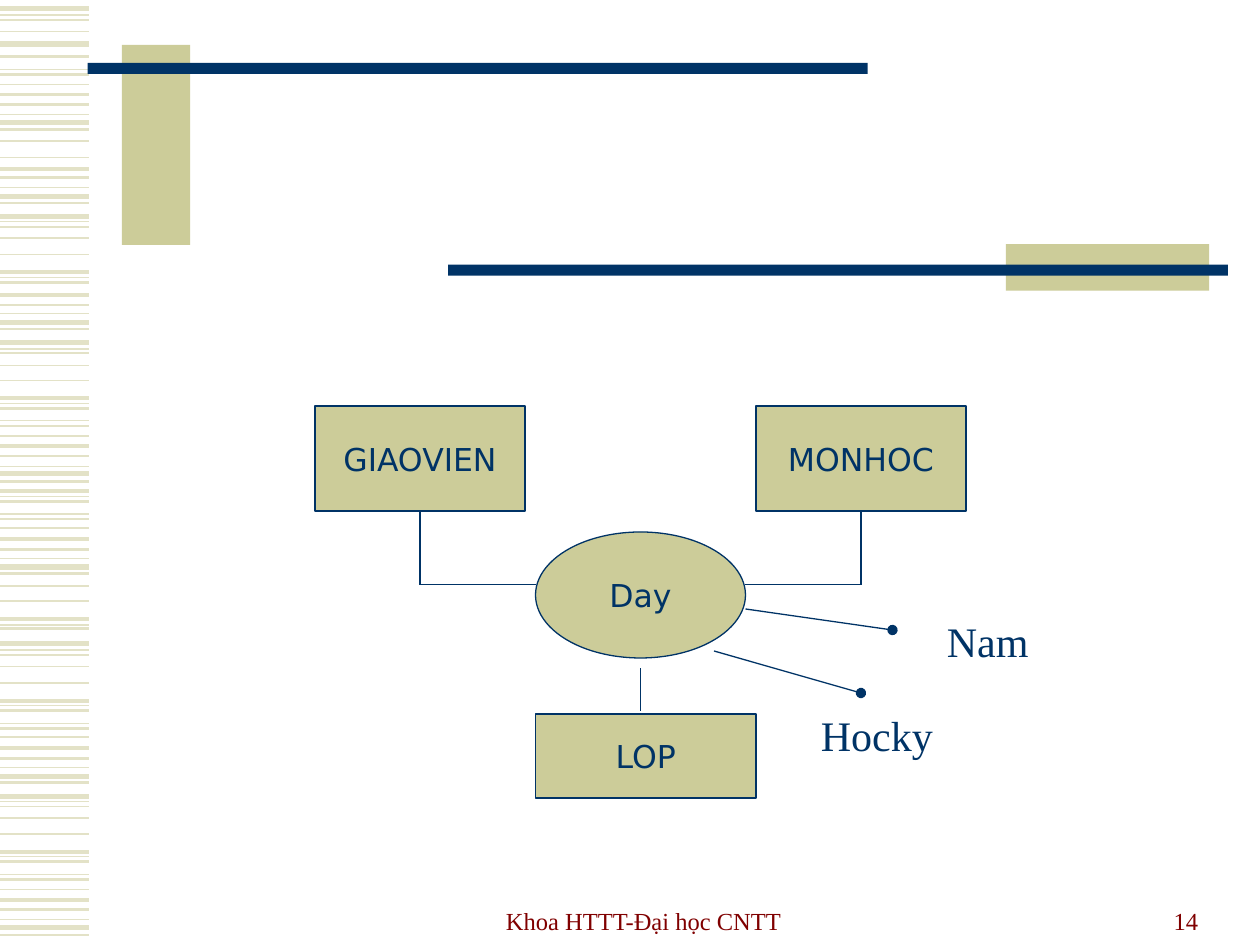
from dataclasses import dataclass

from lxml import etree
from pptx import Presentation
from pptx.dml.color import RGBColor
from pptx.enum.shapes import MSO_CONNECTOR, MSO_SHAPE
from pptx.enum.text import MSO_ANCHOR, MSO_AUTO_SIZE, PP_ALIGN
from pptx.oxml.ns import qn
from pptx.util import Inches, Pt

STRAIGHT = MSO_CONNECTOR.STRAIGHT
RECT, OVAL = MSO_SHAPE.RECTANGLE, MSO_SHAPE.OVAL
TOP, MIDDLE, BOTTOM = MSO_ANCHOR.TOP, MSO_ANCHOR.MIDDLE, MSO_ANCHOR.BOTTOM
LEFT, CENTER, RIGHT = PP_ALIGN.LEFT, PP_ALIGN.CENTER, PP_ALIGN.RIGHT
GROW = MSO_AUTO_SIZE.SHAPE_TO_FIT_TEXT
BOTTOM_SIDE = 2


@dataclass(frozen=True)
class Theme:
    navy: str = "003366"
    khaki: str = "CCCC99"
    stripe: str = "E3E2C7"
    maroon: str = "800000"
    serif: str = "Times New Roman"
    sans: str = "DejaVu Sans"
    label_size: int = 24
    node_size: int = 18
    footer_size: int = 14
    line: float = 0.75


THEME = Theme()

# Grid of 120 columns by 90 rows; all places below are in cells
COLUMNS, ROWS = 120, 90
WIDTH, HEIGHT = Inches(10), Inches(7.5)

# Left border: line weight -> heights down the slide, in inches
STRIPE_LENGTH = 0.71
STRIPES = {
    0.75: (0.12, 0.55, 0.91, 1.49, 1.76, 2.2, 2.49, 2.77, 3.2, 3.34, 3.7, 3.94, 4.08,
           4.43, 4.96, 5.16, 5.6, 5.74, 6.09, 6.36, 6.8, 6.94, 7.3),
    1: (0.16, 0.25, 0.67, 1.12, 1.25, 1.8, 1.89, 2.02, 2.8, 2.9, 3.02, 3.46, 4.19,
        4.65, 4.77, 5.2, 5.29, 5.42, 5.85, 6.4, 6.49, 6.62, 7.06),
    1.5: (0.45, 0.59, 0.83, 1.03, 1.41, 1.61, 2.24, 2.42, 2.61, 3.24, 3.38, 3.62, 3.82,
          3.98, 4.12, 4.36, 4.55, 4.99, 5.64, 5.78, 6.02, 6.21, 6.84, 6.98, 7.22, 7.42),
    2.25: (0.75, 1.34, 2.16, 2.34, 3.16, 3.54, 3.9, 4.28, 4.91, 5.56, 5.94, 6.76, 7.14),
    3: (0.07, 0.35, 0.97, 1.56, 1.72, 2.56, 2.72, 3.76, 4.5, 5.11, 6.16, 6.32, 7.36),
}

# Title ornament: place, fill
ORNAMENT = [
    ((11.62, 4.28, 6.5, 19.05), THEME.khaki),
    ((8.35, 6, 74.28, 1.04), THEME.navy),
    ((95.8, 23.25, 19.35, 4.45), THEME.khaki),
    ((42.67, 25.22, 74.28, 1.04), THEME.navy),
]

# Entities and relationship: text, shape, place
NODES = [
    ("GIAOVIEN", RECT, (30, 38.67, 20, 10)),
    ("MONHOC", RECT, (72, 38.67, 20, 10)),
    ("Day", OVAL, (51, 50.67, 20, 12)),
    ("LOP", RECT, (51, 68, 21, 8)),
]
JOIN_ROW = 55.67
# Upper entity -> column where its link meets the relationship
ELBOWS = {"GIAOVIEN": 51, "MONHOC": 71}
LOP_LINK = ((61, 63.67), (61, 67.67))

# Attributes: text, place, link start, link end
ATTRIBUTES = [
    ("Nam", (89, 58, 10.3, 6), (71, 58), (85, 60)),
    ("Hocky", (77, 67, 13.3, 6), (68, 62), (82, 66)),
]

# Footer: text, place, alignment
FOOTER = [
    ("Khoa HTTT-Đại học CNTT", (41.05, 83.65, 40.5, 6), CENTER),
    ("14", (86.5, 83.65, 28.8, 6), RIGHT),
]


def cells(*values):
    """Turn alternating columns and rows into slide lengths."""
    steps = (WIDTH / COLUMNS, HEIGHT / ROWS)
    return [round(value * steps[i % 2]) for i, value in enumerate(values)]


def add_line(page, start, end, color=THEME.navy, weight=THEME.line, dot=False):
    link = page.shapes.add_connector(STRAIGHT, *cells(*start, *end))
    link.line.color.rgb = RGBColor.from_string(color)
    link.line.width = Pt(weight)
    properties = link._element.spPr
    if dot:
        etree.SubElement(properties.find(qn("a:ln")), qn("a:tailEnd"), type="oval")
    etree.SubElement(properties, qn("a:effectLst"))
    return link


def add_block(page, kind, place, fill, outlined=False):
    block = page.shapes.add_shape(kind, *cells(*place))
    block.shadow.inherit = False
    block.fill.solid()
    block.fill.fore_color.rgb = RGBColor.from_string(fill)
    if outlined:
        block.line.color.rgb = RGBColor.from_string(THEME.navy)
        block.line.width = Pt(THEME.line)
    else:
        block.line.fill.background()
    return block


def write(box, text, font, size, color, align, anchor, wrap=False):
    frame = box.text_frame
    frame.text = text
    frame.word_wrap = wrap
    frame.vertical_anchor = anchor
    para = frame.paragraphs[0]
    para.alignment = align
    span = para.runs[0]
    span.font.name = font
    span.font.size = Pt(size)
    span.font.color.rgb = RGBColor.from_string(color)


def draw_background(page):
    per_inch = ROWS / 7.5
    for weight, heights in STRIPES.items():
        for height in heights:
            row = height * per_inch
            add_line(page, (0, row), (STRIPE_LENGTH * per_inch, row), THEME.stripe, weight)
    for place, fill in ORNAMENT:
        add_block(page, RECT, place, fill)


def draw_diagram(page):
    # Attributes and their dotted links; each label box grows with its text
    for text, place, start, end in ATTRIBUTES:
        add_line(page, start, end, dot=True)
        box = page.shapes.add_textbox(*cells(*place))
        write(box, text, THEME.serif, THEME.label_size, THEME.navy, LEFT, TOP)
        box.text_frame.auto_size = GROW

    # Entities, with an elbow down to the relationship where needed
    for text, kind, place in NODES:
        node = add_block(page, kind, place, THEME.khaki, outlined=True)
        write(node, text, THEME.sans, THEME.node_size, THEME.navy, CENTER, MIDDLE)
        if text in ELBOWS:
            left, top, width, height = place
            middle = left + width / 2
            drop = add_line(page, (middle, top + height), (middle, JOIN_ROW))
            drop.begin_connect(node, BOTTOM_SIDE)
            add_line(page, (middle, JOIN_ROW), (ELBOWS[text], JOIN_ROW))
    add_line(page, *LOP_LINK)


def draw_footer(page):
    for text, place, align in FOOTER:
        box = page.shapes.add_textbox(*cells(*place))
        write(box, text, THEME.serif, THEME.footer_size, THEME.maroon, align, BOTTOM, wrap=True)


def main():
    deck = Presentation()
    deck.slide_width, deck.slide_height = WIDTH, HEIGHT
    page = deck.slides.add_slide(deck.slide_layouts[6])
    draw_background(page)
    draw_diagram(page)
    draw_footer(page)
    deck.save("out.pptx")


if __name__ == "__main__":
    main()
